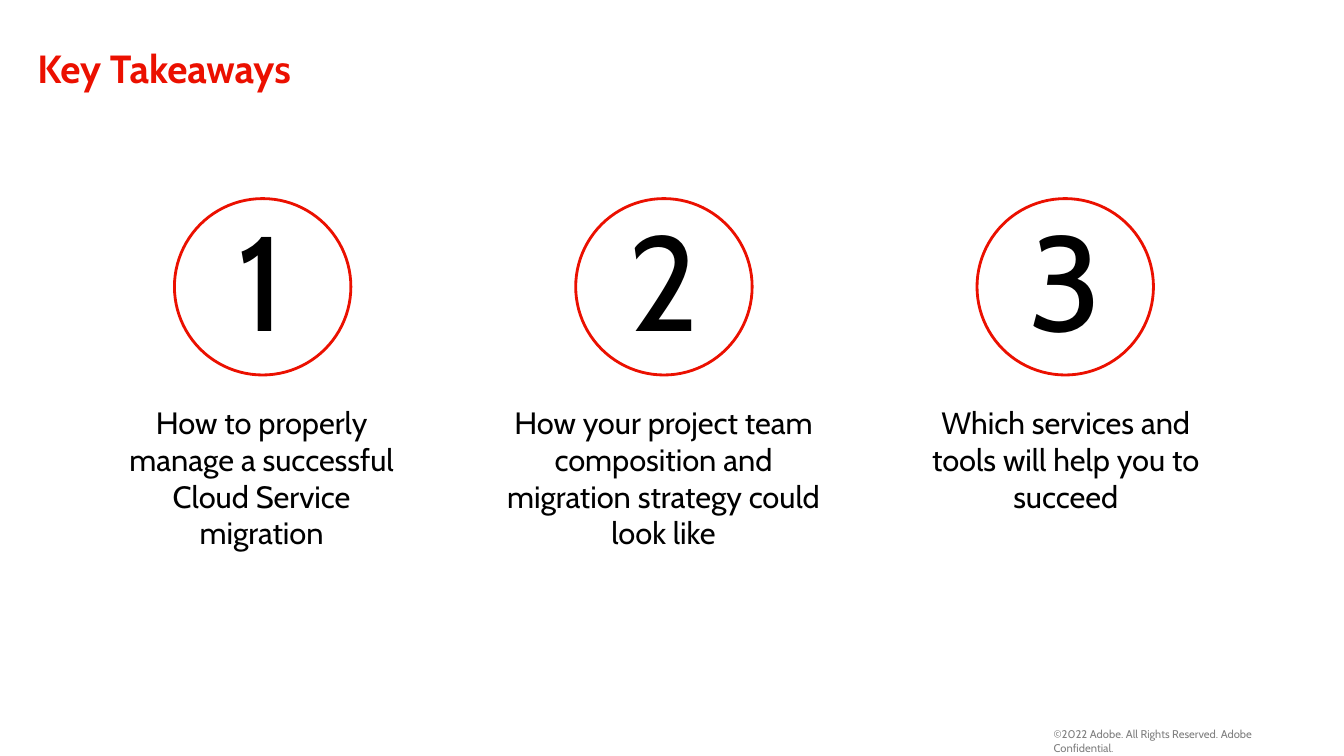
from pptx import Presentation
from pptx.dml.color import RGBColor
from pptx.enum.shapes import MSO_SHAPE
from pptx.enum.text import MSO_ANCHOR, MSO_AUTO_SIZE, PP_ALIGN
from pptx.util import Inches, Pt

OVAL = MSO_SHAPE.OVAL
TOP = MSO_ANCHOR.TOP
GROW = MSO_AUTO_SIZE.SHAPE_TO_FIT_TEXT
LEFT, CENTER = PP_ALIGN.LEFT, PP_ALIGN.CENTER
FONT = "Cabin"
COLORS = {"red": "EB1000", "black": "000000", "gray": "808080"}

prs = Presentation()
prs.slide_width = Inches(13.33)
prs.slide_height = Inches(7.5)
slide = prs.slides.add_slide(prs.slide_layouts[6])
shapes = slide.shapes


def add_frame(left, top, width, height):
    box = shapes.add_textbox(Inches(left), Inches(top), Inches(width), Inches(height))
    frame = box.text_frame
    frame.margin_left = frame.margin_right = frame.margin_bottom = 0
    frame.margin_top = Inches(0.01)
    frame.word_wrap = True
    frame.auto_size = GROW
    frame.vertical_anchor = TOP
    return frame


def add_text(para, text, size, color, align=LEFT, bold=False):
    para.alignment = align
    run = para.add_run()
    run.text = text
    font = run.font
    font.name = FONT
    font.size = Pt(size)
    font.bold = bold
    font.color.rgb = RGBColor.from_string(COLORS[color])


title = add_frame(0.37, 0.43, 2.55, 0.49)
add_text(title.paragraphs[0], "Key Takeaways", 28, "red", bold=True)

# Text box left, width and height, then the takeaway
points = [
    (1.13, 2.93, 3.17, "How to properly manage a successful Cloud Service migration"),
    (4.92, 3.32, 3.17, "How your project team composition and migration strategy could look like"),
    (9.05, 3.04, 2.8, "Which services and tools will help you to succeed"),
]
for i, (left, width, height, text) in enumerate(points):
    ring = shapes.add_shape(
        OVAL, Inches(1.73 + 3.98 * i), Inches(1.97), Inches(1.75), Inches(1.75)
    )
    ring.shadow.inherit = False
    ring.fill.background()
    ring.line.color.rgb = RGBColor.from_string(COLORS["red"])
    ring.line.width = Pt(2)

    frame = add_frame(left, 1.95, width, height)
    add_text(frame.paragraphs[0], str(i + 1), 96, "black", CENTER)
    para = frame.add_paragraph()
    para.space_before = Pt(31.8)
    add_text(para, text, 22, "black", CENTER)

footer = add_frame(10.45, 7.21, 2.48, 0.16)
add_text(
    footer.paragraphs[0],
    "©2022 Adobe. All Rights Reserved. Adobe Confidential.",
    8,
    "gray",
)

prs.save("out.pptx")
